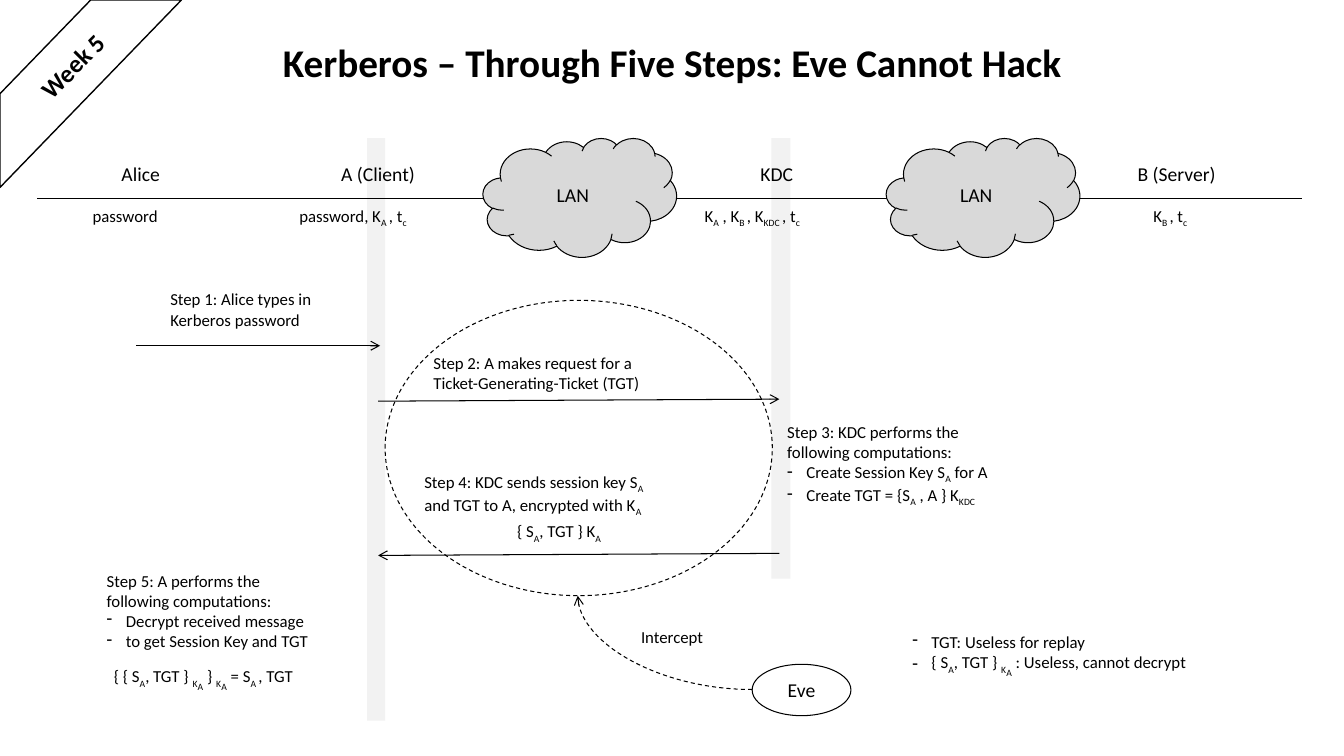
import pptx
import pptx.dml.color
import pptx.enum.dml
import pptx.enum.shapes
import pptx.enum.text
import pptx.oxml.ns
import pptx.oxml.xmlchemy
import pptx.util
from dataclasses import dataclass

PX = 9144  # EMU per px, 100 px to the inch
SHAPE = pptx.enum.shapes.MSO_SHAPE
CONNECTOR = pptx.enum.shapes.MSO_CONNECTOR
ALIGN = pptx.enum.text.PP_ALIGN
ANCHOR = pptx.enum.text.MSO_ANCHOR
qn = pptx.oxml.ns.qn


@dataclass(frozen=True)
class Theme:
    font: str = "Calibri"
    ink: str = "000000"
    paper: str = "FFFFFF"
    band: str = "F2F2F2"
    cloud: str = "D9D9D9"
    title: int = 28
    ribbon: int = 18
    label: int = 14
    body: int = 12
    thin: float = 0.75


THEME = Theme()
# A piece of text between bars is lowered when it starts with one of these marks
LOWERED = {"_": "-25000", "~": "-45000"}


def px(n):
    return pptx.util.Emu(n * PX)


def rgb(value):
    return pptx.dml.color.RGBColor.from_string(value)


def add_child(parent, tag, **attributes):
    child = parent.makeelement(qn(tag), attributes)
    parent.append(child)
    return child


def write_line(p, text, size, bold=False, align=None):
    if text.startswith("- "):
        text = text[2:]
        pPr = p._p.get_or_add_pPr()
        pPr.set("marL", str(19 * PX))
        pPr.set("indent", str(-19 * PX))
        add_child(pPr, "a:buChar", char="-")
    for piece in text.split("|"):
        r = p.add_run()
        baseline = LOWERED.get(piece[:1])
        r.text = piece[1:] if baseline else piece
        if baseline:
            r.font._element.set("baseline", baseline)
    p.alignment = align
    p.font.name = THEME.font
    p.font.size = pptx.util.Pt(size)
    p.font.bold = bold
    p.font.color.rgb = rgb(THEME.ink)


def add_text(s, box, lines, size=THEME.body, bold=False, align=ALIGN.LEFT):
    sp = s.shapes.add_textbox(*map(px, box))
    tf = sp.text_frame
    tf.word_wrap = False
    tf.auto_size = pptx.enum.text.MSO_AUTO_SIZE.SHAPE_TO_FIT_TEXT
    for i, line in enumerate(lines):
        p = tf.add_paragraph() if i else tf.paragraphs[0]
        write_line(p, line, size, bold, align)
    return sp


def add_title(s, text):
    sp = s.shapes.add_textbox(px(68), px(2), px(1197), px(125))
    tf = sp.text_frame
    tf.word_wrap = True
    tf.vertical_anchor = ANCHOR.MIDDLE
    p = tf.paragraphs[0]
    p.line_spacing = 0.9
    write_line(p, text, THEME.title, True, ALIGN.CENTER)


def style_line(line, width=THEME.thin, dashed=False):
    line.color.rgb = rgb(THEME.ink)
    line.width = pptx.util.Pt(width)
    if dashed:
        line.dash_style = pptx.enum.dml.MSO_LINE.DASH


def add_figure(s, kind, box, fill=None, width=THEME.thin, dashed=False, text=None):
    sp = s.shapes.add_shape(kind, *map(px, box))
    sp.shadow.inherit = False
    if fill:
        sp.fill.solid()
        sp.fill.fore_color.rgb = rgb(fill)
    else:
        sp.fill.background()
    if width:
        style_line(sp.line, width, dashed)
    else:
        sp.line.fill.background()
    if text:
        sp.text_frame.vertical_anchor = ANCHOR.MIDDLE
        write_line(sp.text_frame.paragraphs[0], text, THEME.label, align=ALIGN.CENTER)


def add_line(s, start, end, arrow=True, kind=CONNECTOR.STRAIGHT, dashed=False):
    cxn = s.shapes.add_connector(kind, *map(px, start + end))
    style_line(cxn.line, dashed=dashed)
    if arrow:
        add_child(cxn.line._get_or_add_ln(), "a:tailEnd", type="arrow")
    add_child(cxn._element.spPr, "a:effectLst")
    return cxn


def add_intercept_curve(s):
    cxn = add_line(s, (573, 591), (746, 684), kind=CONNECTOR.CURVE, dashed=True)
    spPr = cxn._element.spPr
    spPr.find(qn("a:prstGeom")).set("prst", "curvedConnector2")
    spPr.find(qn("a:xfrm")).set("rot", str(180 * 60000))


def main():
    prs = pptx.Presentation()
    prs.slide_width, prs.slide_height = px(1333), px(750)
    s = prs.slides.add_slide(prs.slide_layouts[6])

    # Lifelines and title
    add_figure(s, SHAPE.RECTANGLE, (765, 137, 19, 437), THEME.band, width=0)
    add_figure(s, SHAPE.RECTANGLE, (364, 137, 18, 578), THEME.band, width=0)
    add_title(s, "Kerberos – Through Five Steps: Eve Cannot Hack")

    # Parties on the network, each with the secrets it holds
    parties = [
        ("Alice", 110, 59, "password", 82, 86),
        ("A (Client)", 328, 94, "password, K|_A |, t|_c", 287, 134),
        ("KDC", 744, 53, "K|_A| , K|_B |, K|_KDC |, t|_c", 689, 123),
        ("B (Server)", 1118, 98, "K|_B |, t|_c", 1134, 59),
    ]
    add_line(s, (37, 197), (1291, 197), arrow=False)
    for name, name_x, name_w, secrets, secrets_x, secrets_w in parties:
        add_text(s, (name_x, 156, name_w, 34), [name], THEME.label, align=ALIGN.CENTER)
        add_text(s, (secrets_x, 199, secrets_w, 30), [secrets])
    for x in (479, 879):
        add_figure(s, SHAPE.CLOUD, (x, 137, 192, 118), THEME.cloud, text="LAN")

    # Steps
    notes = [
        ((159, 282, 162, 50), ["Step 1: Alice types in", "Kerberos password"]),
        ((420, 345, 229, 50), ["Step 2: A makes request for a",
                               "Ticket-Generating-Ticket (TGT)"]),
        ((771, 413, 224, 91), ["Step 3: KDC performs the", "following computations:",
                               "- Create Session Key S|_A| for A",
                               "- Create TGT = {S|_A| , A } K|_KDC"]),
        ((411, 463, 245, 50), ["Step 4: KDC sends session key S|_A",
                               "and TGT to A, encrypted with K|_A"]),
        ((503, 512, 107, 30), ["{ S|_A|, TGT } K|_A"]),
        ((96, 561, 222, 91), ["Step 5: A performs the", "following computations:",
                              "- Decrypt received message",
                              "- to get Session Key and TGT"]),
        ((103, 656, 209, 30),
         ["{ { S|_A|, TGT } |_K|~A| } |_K|~A| = S|_A |, TGT"]),
        ((626, 617, 83, 30), ["Intercept"]),
        ((895, 622, 298, 50), ["- TGT: Useless for replay",
                               "- { S|_A|, TGT } |_K|~A| : Useless, cannot decrypt"]),
    ]
    for box, lines in notes:
        add_text(s, box, lines)

    # Messages
    add_line(s, (135, 343), (377, 343))
    add_line(s, (375, 398), (773, 396))
    add_line(s, (773, 549), (375, 551))

    # Eve intercepts the exchange
    add_figure(s, SHAPE.OVAL, (746, 659, 98, 51), THEME.paper, text="Eve")
    add_figure(s, SHAPE.OVAL, (382, 298, 384, 293), dashed=True)
    add_intercept_curve(s)

    # Corner ribbon
    add_figure(s, SHAPE.DIAGONAL_STRIPE, (0, 0, 180, 186), THEME.paper, width=1)
    week = add_text(s, (23, 45, 98, 40), ["Week 5"], THEME.ribbon, bold=True)
    week.rotation = 314.8

    prs.save("out.pptx")


if __name__ == "__main__":
    main()
